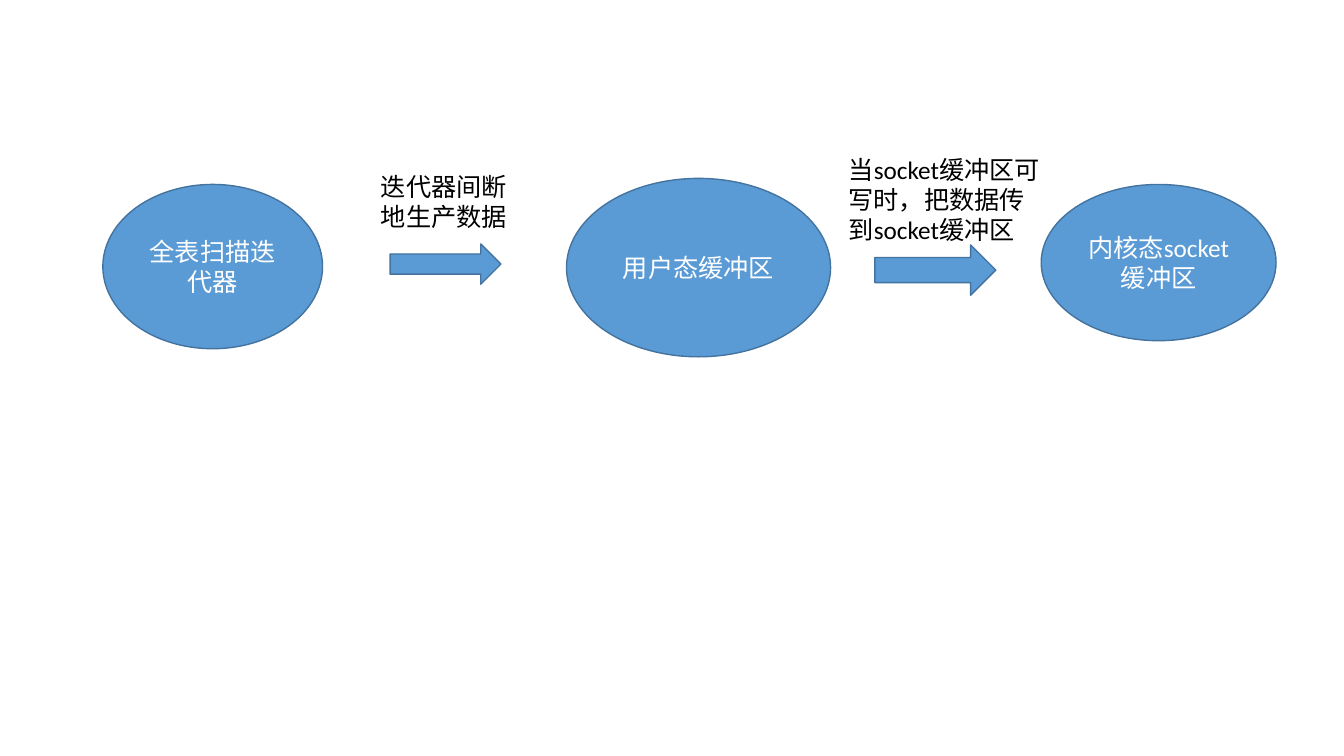
import pptx
import pptx.util
import pptx.dml.color
import pptx.enum.shapes
import pptx.enum.text

Pt = pptx.util.Pt
SHAPES = pptx.enum.shapes.MSO_SHAPE
ALIGN = pptx.enum.text.PP_ALIGN

COLOURS = {"fill": "5B9BD5", "outline": "43739E", "light": "FFFFFF", "dark": "000000"}

STAGES = [
    ("全表扫描迭代器", (73.44, 131.76, 156.96, 117.36)),
    ("用户态缓冲区", (404.64, 127.44, 188.64, 127.44)),
    ("内核态socket缓冲区", (743.76, 131.76, 167.76, 111.6)),
]
ARROWS = [(278.64, 174.24, 79.2, 28.8), (624.96, 174.96, 86.4, 36)]
LABELS = [
    ("迭代器间断地生产数据", (264.96, 118.8, 118.8, 50.4)),
    ("当socket缓冲区可写时，把数据传到socket缓冲区", (599.04, 106.56, 152.64, 72)),
]


def colour(name):
    return pptx.dml.color.RGBColor.from_string(COLOURS[name])


def add_block(page, kind, box):
    block = page.shapes.add_shape(kind, *map(Pt, box))
    block.shadow.inherit = False
    block.fill.solid()
    block.fill.fore_color.rgb = colour("fill")
    block.line.color.rgb = colour("outline")
    block.line.width = Pt(1)
    return block


def write(shape, text, ink, align, anchor):
    frame = shape.text_frame
    frame.word_wrap = True
    frame.vertical_anchor = anchor
    para = frame.paragraphs[0]
    para.text = text
    para.alignment = align
    para.font.name = "Calibri"
    para.font.size = Pt(18)
    para.font.color.rgb = colour(ink)


def main():
    deck = pptx.Presentation()
    deck.slide_width, deck.slide_height = Pt(960), Pt(540)
    page = deck.slides.add_slide(deck.slide_layouts[6])

    for text, box in STAGES:
        stage = add_block(page, SHAPES.OVAL, box)
        write(stage, text, "light", ALIGN.CENTER, pptx.enum.text.MSO_ANCHOR.MIDDLE)
    for box in ARROWS:
        add_block(page, SHAPES.RIGHT_ARROW, box)
    for text, box in LABELS:
        label = page.shapes.add_textbox(*map(Pt, box))
        write(label, text, "dark", ALIGN.LEFT, pptx.enum.text.MSO_ANCHOR.TOP)
        label.text_frame.auto_size = pptx.enum.text.MSO_AUTO_SIZE.SHAPE_TO_FIT_TEXT

    deck.save("out.pptx")


if __name__ == "__main__":
    main()
